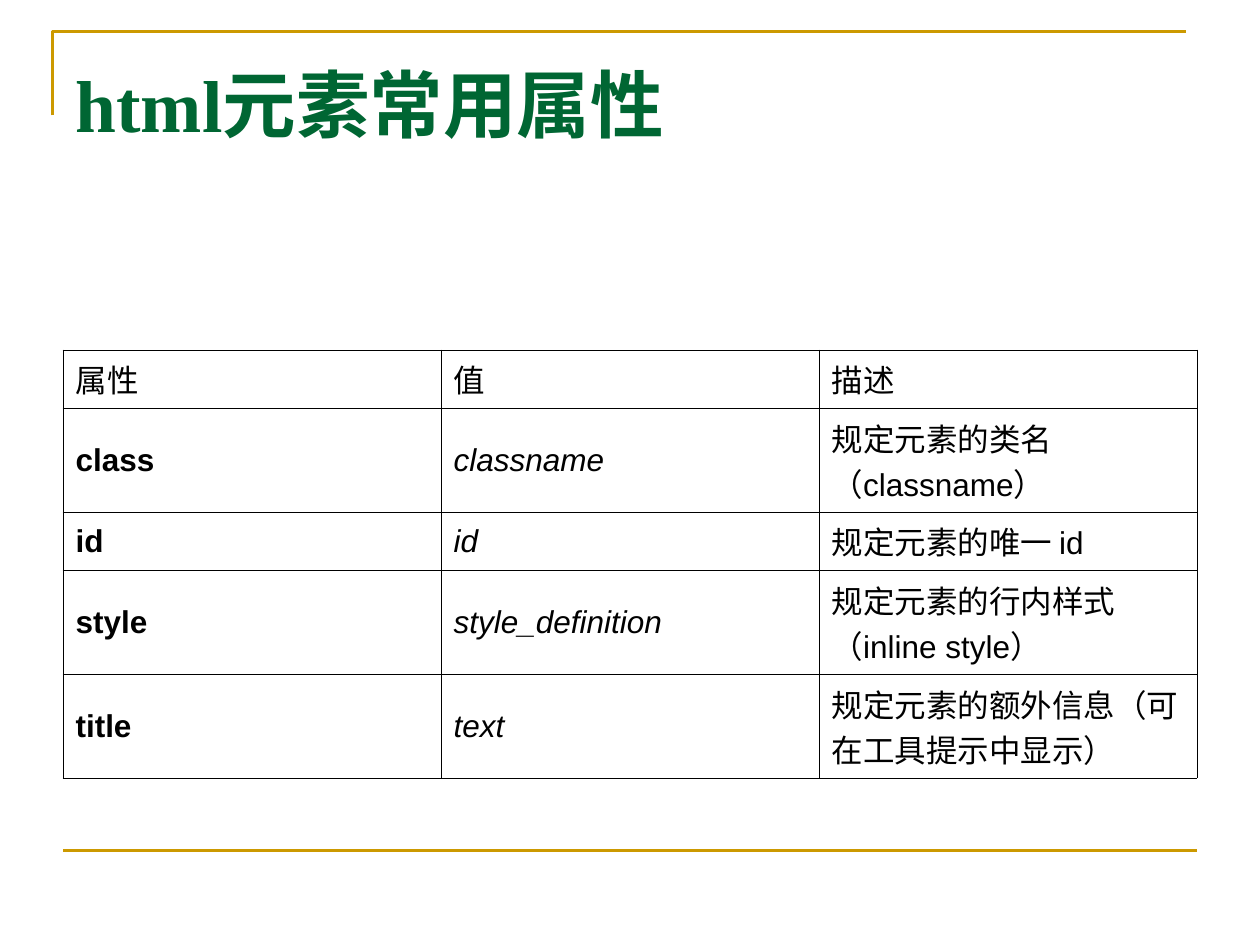
from dataclasses import dataclass

from lxml import etree
from pptx import Presentation, util as u
from pptx.dml.color import RGBColor
from pptx.enum import shapes, text
from pptx.oxml import ns


@dataclass(frozen=True)
class Theme:
    """Colours, fonts and sizes of the slide."""
    gold: str = "CC9900"
    green: str = "006633"
    black: str = "000000"
    serif: str = "Times New Roman"
    sans: str = "Arial"
    head: int = 42
    body: int = 18
    rule: float = 1.5
    edge: float = 0.45


T = Theme()
WIDE, HIGH = u.Inches(10), u.Inches(7.5)
COLS, ROWS = 120, 90
DATA = [
    ("属性", "值", "描述"),
    ("class", "classname", "规定元素的类名（classname）"),
    ("id", "id", "规定元素的唯一 id"),
    ("style", "style_definition", "规定元素的行内样式（inline style）"),
    ("title", "text", "规定元素的额外信息（可在工具提示中显示）"),
]
DEEP = [4.8, 8.4, 4.8, 8.4, 8.4]


def col(n):
    """Return the length of n grid columns."""
    return int(WIDE * n / COLS)


def row(n):
    """Return the length of n grid rows."""
    return int(HIGH * n / ROWS)


def write(frame, words, *, font=T.sans, size=T.body, tint=T.black,
          bold=False, slant=False):
    """Put formatted, left-aligned words into a text frame."""
    para = frame.paragraphs[0]
    para.alignment = text.PP_ALIGN.LEFT
    run = para.add_run()
    run.text = words
    face = run.font
    face.name, face.size = font, u.Pt(size)
    face.bold, face.italic = bold, slant
    face.color.rgb = RGBColor.from_string(tint)


def ink(line):
    """Give a line the gold rule style."""
    line.color.rgb = RGBColor.from_string(T.gold)
    line.width = u.Pt(T.rule)


def corner(slide):
    """Draw the open corner above the title."""
    pen = slide.shapes.build_freeform(col(5), row(11))
    pen.add_line_segments([(col(5), row(3)), (col(113), row(3))], close=False)
    shape = pen.convert_to_shape()
    shape.shadow.inherit = False
    shape.fill.background()
    ink(shape.line)


def rule(slide):
    """Draw the line at the foot."""
    line = slide.shapes.add_connector(
        shapes.MSO_CONNECTOR.STRAIGHT, col(6), row(81), col(114), row(81))
    etree.SubElement(line._element.spPr, ns.qn("a:effectLst"))
    ink(line.line)


def title(slide, words):
    """Place and fill the title."""
    box = slide.shapes.title
    box.left, box.top = col(6), row(5)
    box.width, box.height = col(108), row(13.5)
    frame = box.text_frame
    frame.word_wrap = True
    frame.auto_size = text.MSO_AUTO_SIZE.NONE
    frame.vertical_anchor = text.MSO_ANCHOR.TOP
    write(frame, words, font=T.serif, size=T.head, tint=T.green, bold=True)


def frame(cell):
    """Draw thin borders round a cell and clear its fill."""
    props = cell._tc.get_or_add_tcPr()
    for side in ("lnL", "lnR", "lnT", "lnB"):
        edge = etree.SubElement(props, ns.qn(f"a:{side}"), w=str(u.Pt(T.edge)))
        fill = etree.SubElement(edge, ns.qn("a:solidFill"))
        etree.SubElement(fill, ns.qn("a:srgbClr"), val=T.black)
    cell.fill.background()


def table(slide, data):
    """Build the table of attributes."""
    grid = slide.shapes.add_table(
        len(data), len(data[0]), col(6), row(100 / 3),
        col(108), row(sum(DEEP))).table
    grid.first_row = grid.horz_banding = False
    for r, (line, deep) in enumerate(zip(data, DEEP)):
        grid.rows[r].height = row(deep)
        for c, words in enumerate(line):
            cell = grid.cell(r, c)
            frame(cell)
            cell.vertical_anchor = text.MSO_ANCHOR.MIDDLE
            write(cell.text_frame, words,
                  bold=r > 0 and c == 0, slant=r > 0 and c == 1)


def main():
    """Build and save the slide."""
    deck = Presentation()
    deck.slide_width, deck.slide_height = WIDE, HIGH
    slide = deck.slides.add_slide(deck.slide_layouts.get_by_name("Title Only"))
    corner(slide)
    rule(slide)
    title(slide, "html元素常用属性")
    table(slide, DATA)
    deck.save("out.pptx")


if __name__ == "__main__":
    main()
